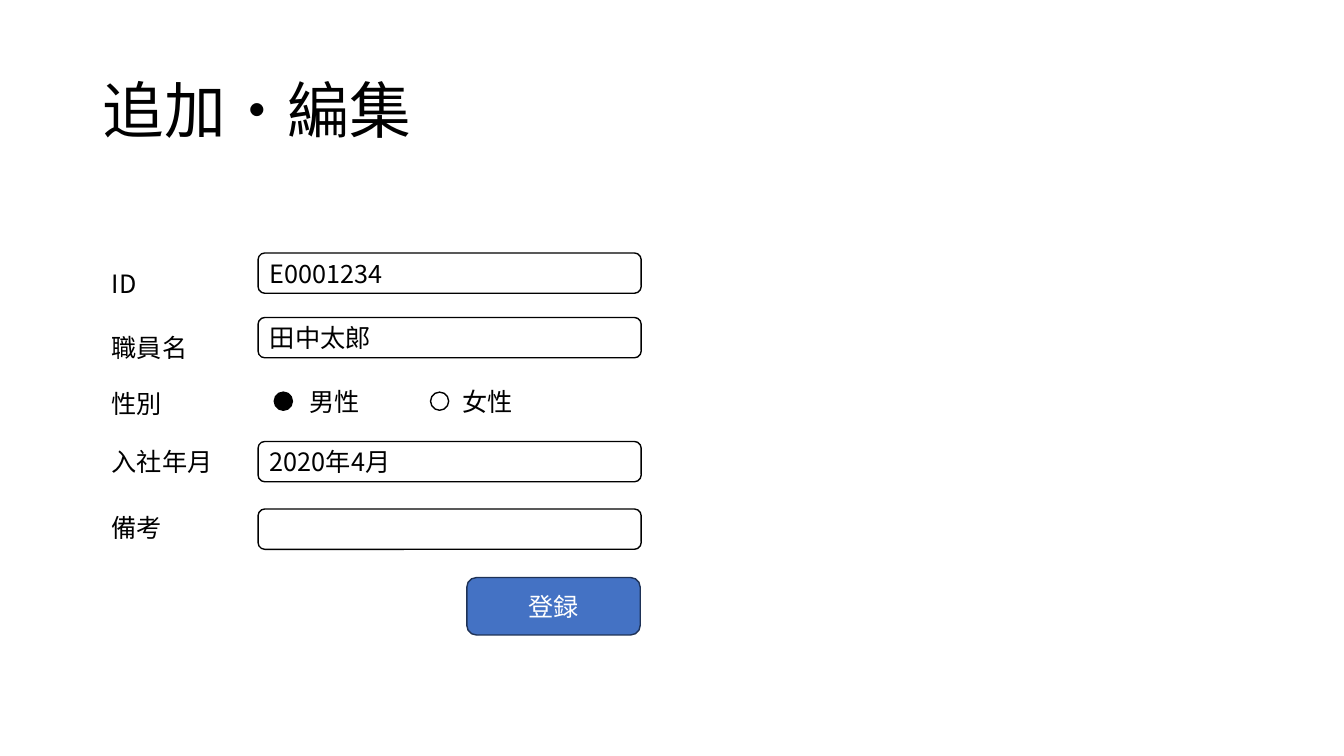
from lxml import etree
from pptx import Presentation
from pptx.dml.color import RGBColor
from pptx.enum.shapes import MSO_SHAPE
from pptx.enum.text import MSO_ANCHOR, MSO_AUTO_SIZE, PP_ALIGN
from pptx.oxml.ns import qn
from pptx.util import Inches, Pt

ROUNDED = MSO_SHAPE.ROUNDED_RECTANGLE
OVAL = MSO_SHAPE.OVAL
MIDDLE = MSO_ANCHOR.MIDDLE
TOP = MSO_ANCHOR.TOP
LEFT = PP_ALIGN.LEFT
CENTER = PP_ALIGN.CENTER
GROW = MSO_AUTO_SIZE.SHAPE_TO_FIT_TEXT
NO_AUTOFIT = MSO_AUTO_SIZE.NONE

FONT = "Noto Sans CJK JP"
COLORS = {
    "ink": "000000",
    "paper": "FFFFFF",
    "button": "4472C4",
    "button_edge": "1E3256",
}
COLUMNS = {"label": 1.01, "field": 2.56}
LABEL_WIDTH = 1.35
FIELD_WIDTH = 3.8
ROW_HEIGHT = 0.4
DOT_SIZE = 0.18
OPTION_WIDTH = 0.76
OPTION_TOP = 3.78
LABELS = [
    ("ID", 2.61),
    ("職員名", 3.25),
    ("性別", 3.8),
    ("入社年月", 4.38),
    ("備考", 5.03),
]
FIELDS = [
    ("E0001234", 2.51),
    ("田中太郎", 3.15),
    ("2020年4月", 4.38),
    ("", 5.05),
]
OPTIONS = [("男性", 2.72, 2.97, "ink"), ("女性", 4.27, 4.49, None)]


def color(name):
    """Return the named palette colour."""
    return RGBColor.from_string(COLORS[name])


def box(left, top, width, height):
    """Convert a box in inches to slide lengths."""
    return [Inches(length) for length in (left, top, width, height)]


def write(shape, text, size=18, ink="ink", align=LEFT, anchor=MIDDLE):
    """Write one formatted run into a shape."""
    frame = shape.text_frame
    frame.word_wrap = True
    frame.vertical_anchor = anchor
    paragraph = frame.paragraphs[0]
    paragraph.alignment = align
    run = paragraph.add_run()
    run.text = text
    run.font.size = Pt(size)
    run.font.name = FONT
    run.font.color.rgb = color(ink)
    etree.SubElement(run.font._element, qn("a:ea"), typeface=FONT)
    return paragraph


def add_title(slide, text):
    """Place and format the slide title."""
    title = slide.shapes.title
    title.left, title.top, title.width, title.height = box(0.92, 0.4, 11.5, 1.45)
    write(title, text, size=44).line_spacing = 0.9
    title.text_frame.auto_size = NO_AUTOFIT


def add_outlined(slide, kind, place, fill="paper", edge="ink"):
    """Add a preset shape with a thin outline."""
    shape = slide.shapes.add_shape(kind, *box(*place))
    shape.shadow.inherit = False
    if fill:
        shape.fill.solid()
        shape.fill.fore_color.rgb = color(fill)
    else:
        shape.fill.background()
    shape.line.color.rgb = color(edge)
    shape.line.width = Pt(1)
    return shape


def add_label(slide, text, left, top, width):
    """Add a text box that grows with its text."""
    label = slide.shapes.add_textbox(*box(left, top, width, ROW_HEIGHT))
    write(label, text, anchor=TOP)
    label.text_frame.auto_size = GROW


def add_field(slide, text, top):
    """Add an input field with its value."""
    place = (COLUMNS["field"], top, FIELD_WIDTH, ROW_HEIGHT)
    field = add_outlined(slide, ROUNDED, place)
    if text:
        write(field, text)


def add_option(slide, text, dot_left, text_left, fill):
    """Add a radio button and its caption."""
    dot_top = OPTION_TOP + (ROW_HEIGHT - DOT_SIZE) / 2
    add_outlined(slide, OVAL, (dot_left, dot_top, DOT_SIZE, DOT_SIZE), fill)
    add_label(slide, text, text_left, OPTION_TOP, OPTION_WIDTH)


def add_button(slide, text):
    """Add the submit button."""
    place = (4.63, 5.73, 1.72, 0.57)
    button = add_outlined(slide, ROUNDED, place, "button", "button_edge")
    write(button, text, ink="paper", align=CENTER)


def main():
    """Build the staff entry form slide."""
    presentation = Presentation()
    presentation.slide_width = Inches(13.33)
    presentation.slide_height = Inches(7.5)
    layout = presentation.slide_layouts.get_by_name("Title Only")
    slide = presentation.slides.add_slide(layout)
    add_title(slide, "追加・編集")
    for text, top in FIELDS:
        add_field(slide, text, top)
    add_button(slide, "登録")
    for text, top in LABELS:
        add_label(slide, text, COLUMNS["label"], top, LABEL_WIDTH)
    for option in OPTIONS:
        add_option(slide, *option)
    presentation.save("out.pptx")


if __name__ == "__main__":
    main()
